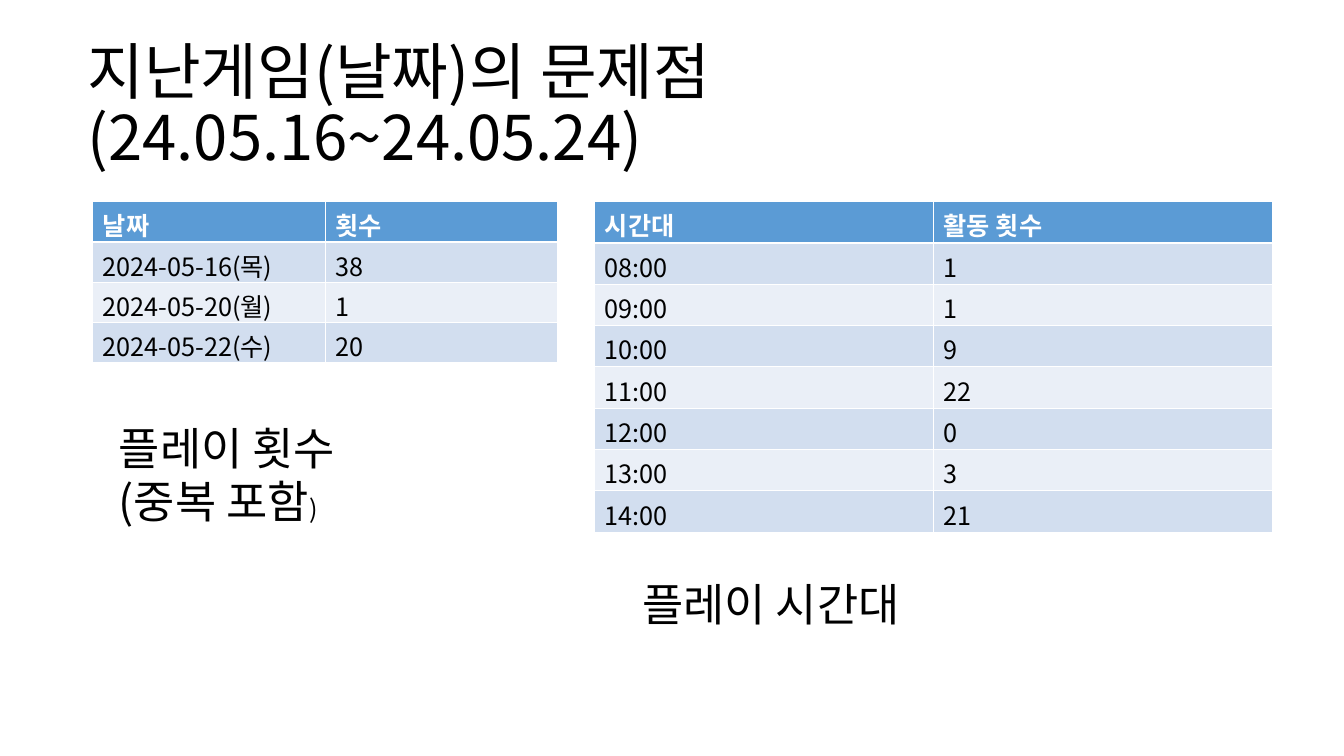
from dataclasses import dataclass
from pptx import Presentation
from pptx.dml.color import RGBColor as Rgb
from pptx.enum.text import MSO_ANCHOR as Anchor, MSO_AUTO_SIZE as Fit
from pptx.oxml.ns import qn
from pptx.util import Inches, Pt
from lxml.etree import SubElement as Sub


@dataclass(frozen=True)
class Theme:
    font: str = "Noto Sans CJK KR"
    ink: str = "000000"
    light: str = "FFFFFF"
    head: str = "5B9BD5"
    bands: tuple = ("D2DEEF", "EAEFF7")
    title: int = 44
    label: int = 32
    body: int = 18


THEME = Theme()
BREAK = "\n"

TITLE = ("지난게임(날짜)의 문제점(24.05.16~24.05.24)", THEME.title)
TITLE_BOX = (0.77, 0.34, 11.5, 1.45)

TABLES = [
    {
        "at": (0.92, 2), "width": 4.61, "row": 0.4,
        "rows": [
            ("날짜", "횟수"),
            ("2024-05-16(목)", "38"),
            ("2024-05-20(월)", "1"),
            ("2024-05-22(수)", "20"),
        ],
    },
    {
        "at": (5.9, 2), "width": 6.72, "row": 0.41,
        "rows": [
            ("시간대", "활동 횟수"),
            ("08:00", "1"),
            ("09:00", "1"),
            ("10:00", "9"),
            ("11:00", "22"),
            ("12:00", "0"),
            ("13:00", "3"),
            ("14:00", "21"),
        ],
    },
]

LABELS = [
    ((1.08, 4.12, 3.12, 1.18), [
        ("플레이 횟수", THEME.label),
        (BREAK, THEME.label),
        ("(중복 포함", THEME.label),
        (")", THEME.body),
    ]),
    ((6.27, 5.67, 4.45, 0.64), [("플레이 시간대", THEME.label)]),
]


def add_run(para, text, size, color=THEME.ink, bold=False):
    if text == BREAK:
        para.add_line_break()
        return
    run = para.add_run()
    run.text = text
    font = run.font
    font.size = Pt(size)
    font.name = THEME.font
    font.bold = bold
    font.color.rgb = Rgb.from_string(color)
    Sub(font._element, qn("a:ea")).set("typeface", THEME.font)


def add_text(slide, box, runs):
    frame = slide.shapes.add_textbox(*map(Inches, box)).text_frame
    frame.word_wrap = True
    for text, size in runs:
        add_run(frame.paragraphs[0], text, size)
    return frame


def add_grid(slide, at, width, row, rows):
    count = len(rows[0])
    size = (width, row * len(rows))
    grid = slide.shapes.add_table(
        len(rows), count, *map(Inches, at + size)).table
    for r, line in enumerate(rows):
        top = r == 0
        fill = THEME.head if top else THEME.bands[(r - 1) % 2]
        color = THEME.light if top else THEME.ink
        for c, text in enumerate(line):
            cell = grid.cell(r, c)
            cell.fill.solid()
            cell.fill.fore_color.rgb = Rgb.from_string(fill)
            para = cell.text_frame.paragraphs[0]
            add_run(para, text, THEME.body, color, top)


def main():
    deck = Presentation()
    deck.slide_width = Inches(13.33)
    deck.slide_height = Inches(7.5)
    slide = deck.slides.add_slide(deck.slide_layouts[6])

    frame = add_text(slide, TITLE_BOX, [TITLE])
    frame.vertical_anchor = Anchor.MIDDLE
    frame.paragraphs[0].line_spacing = 0.9

    for table in TABLES:
        add_grid(slide, **table)
    for box, runs in LABELS:
        add_text(slide, box, runs).auto_size = Fit.SHAPE_TO_FIT_TEXT

    deck.save("out.pptx")


if __name__ == "__main__":
    main()
